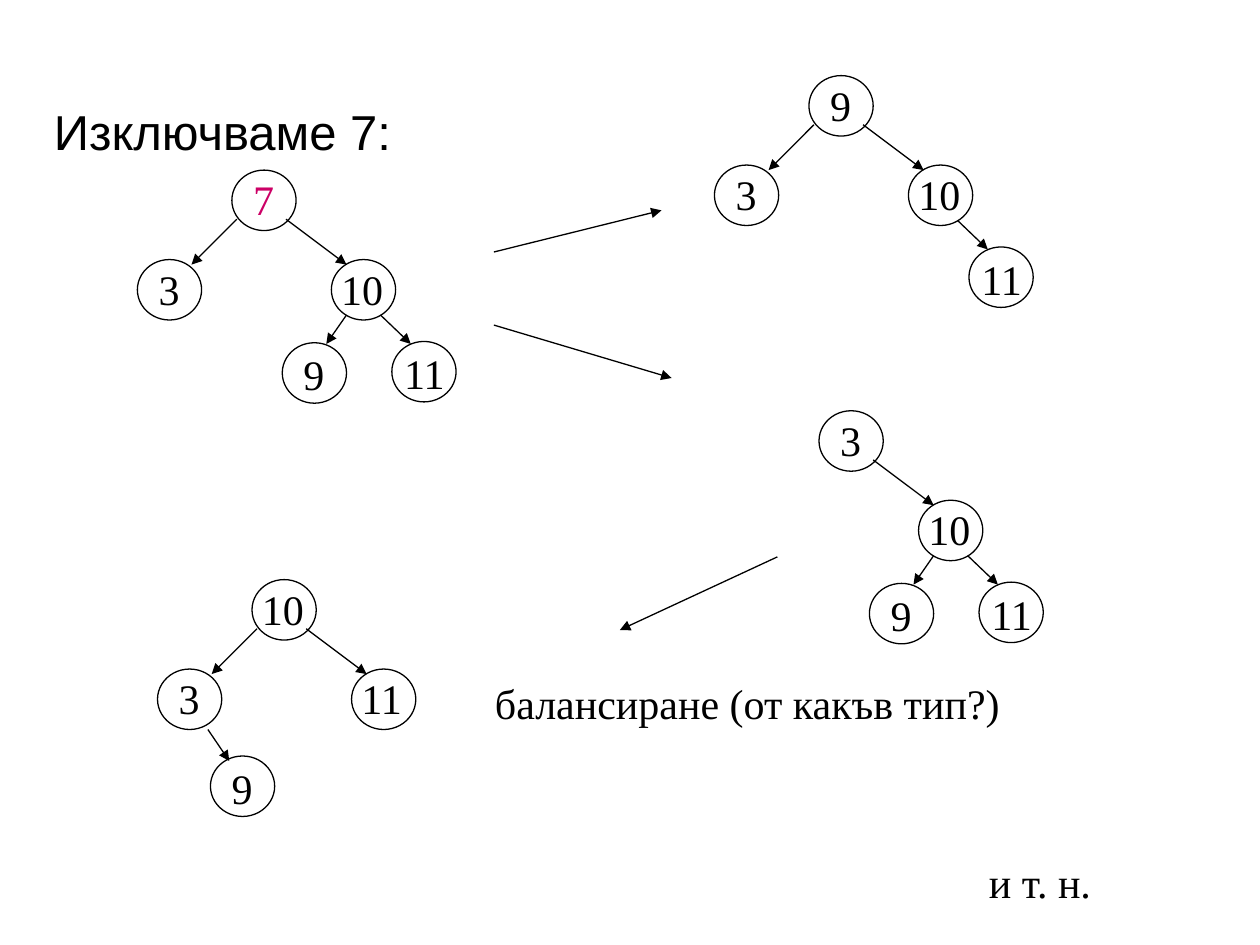
from lxml.etree import SubElement
from pptx import Presentation
from pptx.dml.color import RGBColor
from pptx.enum.shapes import MSO_CONNECTOR as Connector, MSO_SHAPE as Shape
from pptx.oxml.ns import qn
from pptx.util import Inches, Pt

BLACK = "000000"
WHITE = "FFFFFF"
ACCENT = "CC0066"

NODE_OFFSETS = {
    "root": (0, 0),
    "left": (-0.75, 0.71),
    "right": (0.79, 0.71),
    "left_right": (-0.33, 1.4),
    "right_left": (0.4, 1.37),
    "right_right": (1.27, 1.36),
}
EDGE_OFFSETS = {
    "left": (0.04, 0.39, -0.32, 0.75),
    "right": (0.43, 0.39, 0.91, 0.75),
    "left_right": (-0.35, 1.19, -0.18, 1.44),
    "right_left": (0.91, 1.15, 0.75, 1.38),
    "right_right": (1.18, 1.15, 1.42, 1.38),
}
TREES = [
    (1.84, 1.35, {"root": "7", "left": "3", "right": "10",
                  "right_left": "9", "right_right": "11"}),
    (6.42, 0.6, {"root": "9", "left": "3", "right": "10", "right_right": "11"}),
    (6.5, 3.26, {"root": "3", "right": "10", "right_left": "9", "right_right": "11"}),
    (2, 4.6, {"root": "10", "left": "3", "right": "11", "left_right": "9"}),
]
STEP_ARROWS = [
    (3.92, 2, 5.25, 1.67),
    (3.92, 2.58, 5.33, 3),
    (6.17, 4.42, 4.92, 5),
]


def color(value):
    return RGBColor.from_string(value)


def add_text(page, text, left, top, width, height=0.5, size=24,
             font="Times New Roman", fill=BLACK):
    box = page.shapes.add_textbox(Inches(left), Inches(top), Inches(width), Inches(height))
    box.text_frame.word_wrap = True
    span = box.text_frame.paragraphs[0].add_run()
    span.text = text
    span.font.name = font
    span.font.size = Pt(size)
    span.font.color.rgb = color(fill)


def add_arrow(page, *ends):
    arrow = page.shapes.add_connector(Connector.STRAIGHT, *map(Inches, ends))
    arrow.line.color.rgb = color(BLACK)
    arrow.line.width = Pt(0.75)
    SubElement(arrow.line._get_or_add_ln(), qn("a:tailEnd"), type="triangle")
    SubElement(arrow._element.spPr, qn("a:effectLst"))


def add_circle(page, left, top):
    circle = page.shapes.add_shape(
        Shape.OVAL, Inches(left), Inches(top), Inches(0.51), Inches(0.48))
    circle.shadow.inherit = False
    circle.fill.solid()
    circle.fill.fore_color.rgb = color(WHITE)
    circle.line.color.rgb = color(BLACK)
    circle.line.width = Pt(0.75)


def add_label(page, text, slot, left, top):
    shift, width = (0.07, 0.42) if len(text) == 1 else (-0.02, 0.62)
    deep = "_" in slot
    if slot == "right_right":
        shift = 0
    fill = ACCENT if text == "7" else BLACK
    add_text(page, text, left + shift, top if deep else top - 0.02, width, fill=fill)


def add_tree(page, left, top, keys):
    places = {slot: (left + NODE_OFFSETS[slot][0], top + NODE_OFFSETS[slot][1])
              for slot in keys}
    for place in places.values():
        add_circle(page, *place)
    for slot in keys:
        if slot in EDGE_OFFSETS:
            x1, y1, x2, y2 = EDGE_OFFSETS[slot]
            add_arrow(page, left + x1, top + y1, left + x2, top + y2)
    for slot, key in keys.items():
        add_label(page, key, slot, *places[slot])


def main():
    deck = Presentation()
    deck.slide_width = Inches(10)
    deck.slide_height = Inches(7.5)
    page = deck.slides.add_slide(deck.slide_layouts[6])
    add_text(page, "Изключваме 7:", 0.33, 0.76, 9.17, 0.56, size=28, font="Arial")
    for tree in TREES:
        add_tree(page, *tree)
    for ends in STEP_ARROWS:
        add_arrow(page, *ends)
    add_text(page, "балансиране (от какъв тип?)", 3.83, 5.33, 4.33)
    add_text(page, "и т. н.", 7.75, 6.75, 1.5)
    deck.save("out.pptx")


if __name__ == "__main__":
    main()
